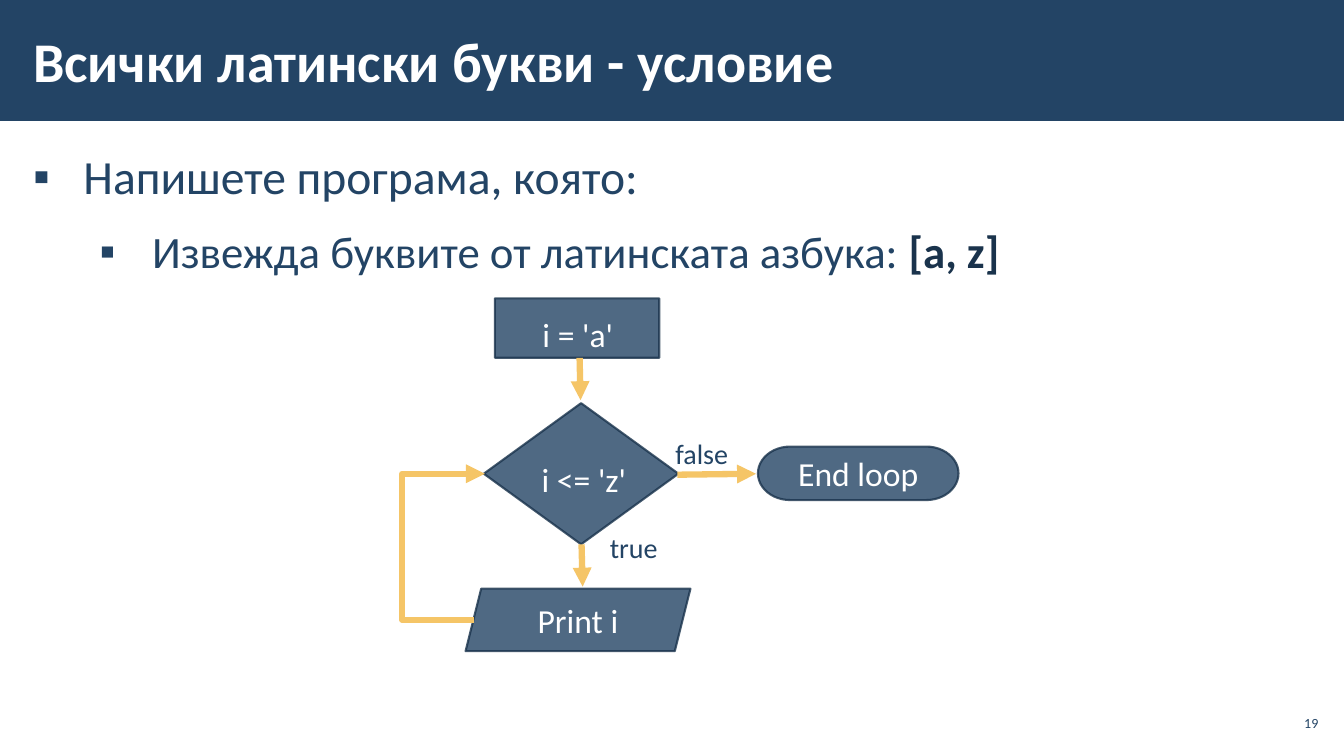
from pptx import Presentation
from pptx.dml.color import RGBColor
from pptx.enum.shapes import MSO_CONNECTOR, MSO_SHAPE
from pptx.enum.text import MSO_ANCHOR, MSO_AUTO_SIZE, PP_ALIGN
from pptx.oxml.ns import qn
from pptx.util import Pt
from lxml.etree import SubElement

NAVY, DARK, GOLD, WHITE = "234465", "1A334C", "F5C567", "FFFFFF"


def rgb(hex_color):
    return RGBColor.from_string(hex_color)


def style(run, size, color, bold=False):
    run.font.name = "Calibri"
    run.font.size = Pt(size)
    run.font.bold = bold
    run.font.color.rgb = rgb(color)


prs = Presentation()
prs.slide_width, prs.slide_height = Pt(960), Pt(540)
slide = prs.slides.add_slide(prs.slide_layouts[1])
shapes = slide.shapes

# Header band, behind the title
band = shapes.add_shape(MSO_SHAPE.RECTANGLE, 0, 0, Pt(960), Pt(86.4))
band.shadow.inherit = False
band.fill.solid()
band.fill.fore_color.rgb = rgb(NAVY)
band.line.fill.background()
shapes._spTree.insert(2, band._element)

# Title and task placeholders
title, task = shapes.title, slide.placeholders[1]
for holder, box in ((title, (15.1, 7.9, 748.1, 69.8)),
                    (task, (15.1, 94.3, 930.2, 409.7))):
    holder.left, holder.top, holder.width, holder.height = map(Pt, box)
    frame = holder.text_frame
    frame.auto_size = MSO_AUTO_SIZE.NONE
    frame.margin_left = frame.margin_right = Pt(8.5)
    frame.margin_top = frame.margin_bottom = Pt(2.8)

title.text_frame.text = "Всички латински букви - условие"
title.text_frame.vertical_anchor = MSO_ANCHOR.MIDDLE
title.text_frame.paragraphs[0].alignment = PP_ALIGN.LEFT
style(title.text_frame.paragraphs[0].runs[0], 40, WHITE, True)

# Task list: level, size, left margin, hanging indent, text, bold ending
task_lines = [
    (0, 34, 36, 36, "Напишете програма, която:", ""),
    (1, 32, 85, 37.5, "Извежда буквите от латинската азбука: ", "[a, z]"),
]
task.text_frame.text = "\n".join(line[4] for line in task_lines)
for paragraph, (level, size, margin, hang, _, ending) in zip(
        task.text_frame.paragraphs, task_lines):
    paragraph.level = level
    paragraph.line_spacing = 1.05
    paragraph.space_before = Pt(6 if level else 0)
    paragraph.space_after = Pt(6)
    props = paragraph._p.get_or_add_pPr()
    props.set("marL", str(Pt(margin)))
    props.set("indent", str(-Pt(hang)))
    SubElement(props, qn("a:buFont"), typeface="Arial")
    SubElement(props, qn("a:buChar"), char="▪")
    style(paragraph.runs[0], size, NAVY)
    if ending:
        interval = paragraph.add_run()
        interval.text = ending
        style(interval, size, DARK, True)
# The first line sits one paragraph gap lower
task.text_frame.margin_top = Pt(8.8)

# Flowchart steps: preset, box, text, left and top inset
steps = [
    (MSO_SHAPE.RECTANGLE, (353.5, 213.1, 117.4, 42.5), "i = 'a'", 1, 8),
    (MSO_SHAPE.DIAMOND, (345.6, 288, 139, 100.8), "i <= 'z'", 4, 8),
    (MSO_SHAPE.PARALLELOGRAM, (332.6, 420.5, 160.6, 44.6), "Print i", 0, 0),
    (MSO_SHAPE.FLOWCHART_TERMINATOR, (541.4, 319, 143.3, 38.2), "End loop", 0, 0),
]
for preset, box, text, inset_left, inset_top in steps:
    step = shapes.add_shape(preset, *map(Pt, box))
    step.shadow.inherit = False
    step.fill.solid()
    step.fill.fore_color.rgb = rgb(NAVY)
    step.line.color.rgb = rgb(DARK)
    step.line.width = Pt(1.5)
    for color in step._element.spPr.iter(qn("a:srgbClr")):
        SubElement(color, qn("a:alpha"), val="80000")
    frame = step.text_frame
    frame.text = text
    frame.word_wrap = False
    frame.vertical_anchor = MSO_ANCHOR.MIDDLE
    frame.margin_left, frame.margin_top = Pt(inset_left), Pt(inset_top)
    frame.margin_right = frame.margin_bottom = 0
    frame.paragraphs[0].alignment = PP_ALIGN.CENTER
    style(frame.paragraphs[0].runs[0], 24, WHITE)

# Arrows: start, end and, for the loop back, the x of its left side
arrows = [
    ((414, 255.6), (414.7, 285.8), None),
    ((415.4, 388.8), (416.2, 419), None),
    ((483.8, 339.1), (540, 338.4), None),
    ((338.4, 442.8), (346.3, 338.4), 287.3),
]
for start, end, loop_x in arrows:
    kind = MSO_CONNECTOR.STRAIGHT if loop_x is None else MSO_CONNECTOR.ELBOW
    arrow = shapes.add_connector(kind, *map(Pt, start + end))
    arrow.line.color.rgb = rgb(GOLD)
    arrow.line.width = Pt(4.5)
    SubElement(arrow.line._get_or_add_ln(), qn("a:tailEnd"), type="triangle")
    SubElement(arrow._element.spPr, qn("a:effectLst"))
    if loop_x is not None:
        bend = round((loop_x - start[0]) / (end[0] - start[0]) * 100000)
        guides = arrow._element.spPr.find(qn("a:prstGeom")).find(qn("a:avLst"))
        SubElement(guides, qn("a:gd"), name="adj1", fmla=f"val {bend}")

# Branch labels and slide number: box, text, size, insets, spacing, alignment
captions = [
    ((470.9, 301.7, 68, 42.5), "false", 20, (11.5, 8.6), 1.1, PP_ALIGN.LEFT),
    ((424.1, 368.6, 68, 42.5), "true", 20, (11.5, 8.6), 1.1, PP_ALIGN.LEFT),
    ((910.8, 504, 33.8, 24.5), "19", 10, (2.9, 2.9), 1.0, PP_ALIGN.RIGHT),
]
for box, text, size, (inset_x, inset_y), spacing, alignment in captions:
    frame = shapes.add_textbox(*map(Pt, box)).text_frame
    frame.text = text
    frame.word_wrap = True
    frame.vertical_anchor = MSO_ANCHOR.MIDDLE
    frame.margin_left = frame.margin_right = Pt(inset_x)
    frame.margin_top = frame.margin_bottom = Pt(inset_y)
    frame.paragraphs[0].line_spacing = spacing
    frame.paragraphs[0].alignment = alignment
    style(frame.paragraphs[0].runs[0], size, NAVY)

prs.save("out.pptx")
